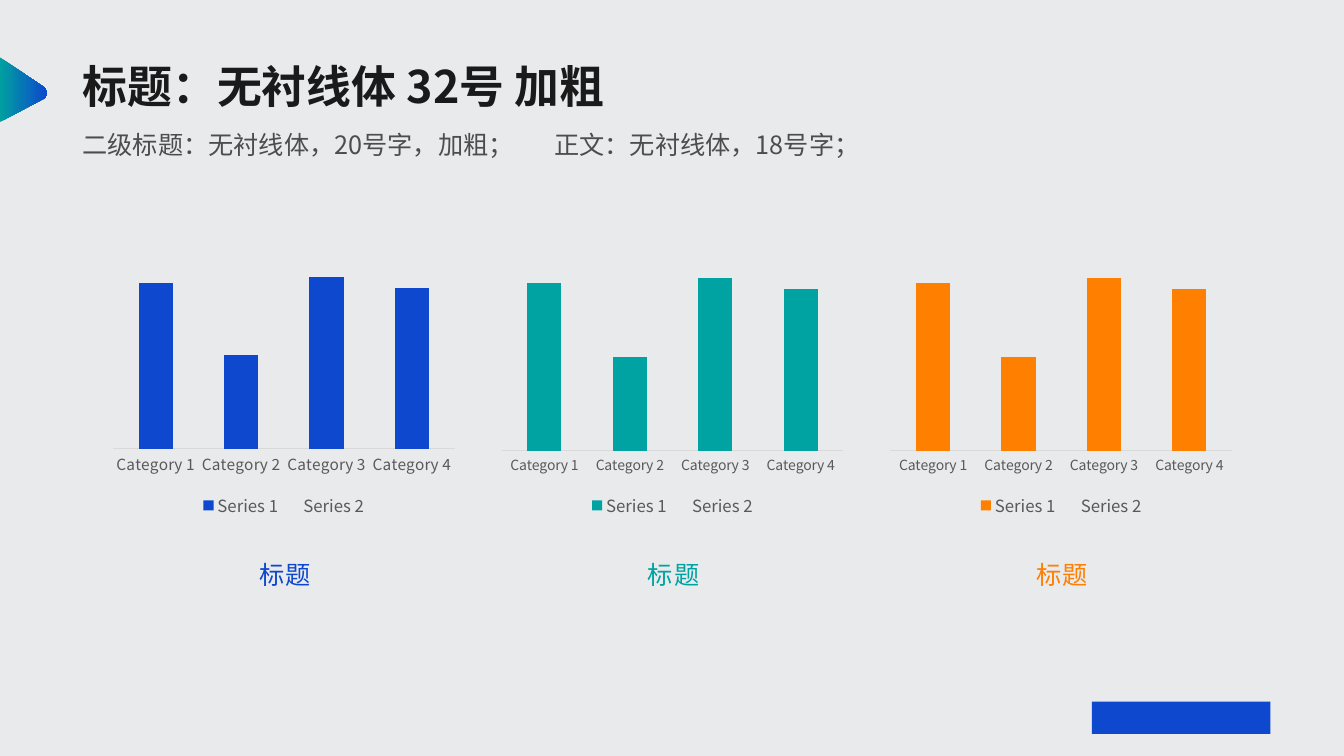
from pptx import Presentation, util as u
from pptx.chart.data import CategoryChartData
from pptx.dml.color import RGBColor
from pptx.enum import chart as ch, shapes, text
from pptx.oxml import parse_xml
from pptx.oxml.ns import nsdecls

BACKGROUND = RGBColor(0xE9, 0xEA, 0xEC)
BLUE = RGBColor(0x0E, 0x48, 0xCE)
LOGO_BLUE = RGBColor(0x0D, 0x48, 0xCE)
TEAL = RGBColor(0x00, 0xA3, 0xA2)
ARROW_TEAL = RGBColor(0x00, 0xA0, 0xA0)
ORANGE = RGBColor(0xFF, 0x7F, 0x00)
TITLE_INK = RGBColor(0x1A, 0x1A, 0x1A)
BODY_INK = RGBColor(0x4D, 0x4D, 0x4D)
AXIS_INK = RGBColor(0x59, 0x59, 0x59)
AXIS_LINE = RGBColor(0xD9, 0xD9, 0xD9)

FONT = "Noto Sans CJK SC"
CATEGORIES = [f"Category {number}" for number in range(1, 5)]
VALUES = [64, 36, 66, 62]
CHART_LEFT, LABEL_LEFT, COLUMN_STEP = 7.88, 12.23, 28.92


def assign(target, values):
    for name, value in values.items():
        setattr(target, name, value)


class ChartSlide:
    """Draws on one slide; every length is a percentage of the slide's size."""

    def __init__(self, presentation):
        self.width = presentation.slide_width
        self.height = presentation.slide_height
        self.slide = presentation.slides.add_slide(presentation.slide_layouts[5])
        fill = self.slide.background.fill
        fill.solid()
        fill.fore_color.rgb = BACKGROUND

    def box(self, left, top, width, height):
        return (round(left * self.width / 100), round(top * self.height / 100),
                round(width * self.width / 100), round(height * self.height / 100))

    def style_font(self, font, size, color, bold=False):
        assign(font, {"name": FONT, "size": u.Pt(size), "bold": bold})
        font.color.rgb = color

    def set_text(self, shape, words, size, color, bold=False,
                 align=text.PP_ALIGN.LEFT, spacing=1.0, tab=None, tracking=0):
        """Fill a text shape; tab is in percent of the slide's width, tracking in points."""
        frame = shape.text_frame
        assign(frame, {"word_wrap": True, "auto_size": text.MSO_AUTO_SIZE.NONE,
                       "vertical_anchor": text.MSO_ANCHOR.TOP})
        paragraph = frame.paragraphs[0]
        assign(paragraph, {"alignment": align, "line_spacing": spacing})
        if tab:
            position = round(tab * self.width / 100)
            paragraph._p.get_or_add_pPr().append(parse_xml(
                f'<a:tabLst {nsdecls("a")}><a:tab pos="{position}" algn="l"/></a:tabLst>'))
        run = paragraph.add_run()
        run.text = words
        self.style_font(run.font, size, color, bold)
        properties = run._r.get_or_add_rPr()
        properties.append(parse_xml(f'<a:ea {nsdecls("a")} typeface="{FONT}"/>'))
        if tracking:
            properties.set("spc", str(round(tracking * 100)))

    def title(self, box, words, **style):
        shape = self.slide.shapes.title
        assign(shape, dict(zip(("left", "top", "width", "height"), self.box(*box))))
        self.set_text(shape, words, **style)

    def label(self, box, words, **style):
        self.set_text(self.slide.shapes.add_textbox(*self.box(*box)), words, **style)

    def finish(self, shape):
        shape.shadow.inherit = False
        shape.line.fill.background()

    def logo_block(self, box, color):
        shape = self.slide.shapes.add_shape(shapes.MSO_SHAPE.RECTANGLE, *self.box(*box))
        shape.fill.solid()
        shape.fill.fore_color.rgb = color
        self.finish(shape)

    def edge_arrow(self, start_color, end_color):
        """Triangle on the left edge, its tip rounded by a cubic curve."""
        low, low_pull, high_pull, high = (3.23, 13.07), (3.6, 12.8), (3.6, 11.87), (3.23, 11.47)
        tip = []
        for step in range(13):
            t = step / 12
            weights = (1 - t) ** 3, 3 * t * (1 - t) ** 2, 3 * t * t * (1 - t), t ** 3
            tip.append(tuple(sum(w * point[axis] for w, point in
                                 zip(weights, (low, low_pull, high_pull, high)))
                             for axis in (0, 1)))
        outline = [self.box(x, y, 0, 0)[:2] for x, y in [(0, 7.6), (0, 16.13), *tip]]
        builder = self.slide.shapes.build_freeform(*outline[0])
        builder.add_line_segments(outline[1:], close=True)
        shape = builder.convert_to_shape()
        shape.fill.gradient()
        shape.fill.gradient_angle = 0
        for stop, color in zip(shape.fill.gradient_stops, (start_color, end_color)):
            stop.color.rgb = color
        self.finish(shape)

    def column_chart(self, box, color, axis_size):
        data = CategoryChartData()
        data.categories = CATEGORIES
        data.add_series("Series 1", VALUES)
        data.add_series("Series 2", [100 - value for value in VALUES])
        chart = self.slide.shapes.add_chart(
            ch.XL_CHART_TYPE.COLUMN_STACKED_100, *self.box(*box), data).chart
        assign(chart, {"has_title": False, "has_legend": True})
        self.style_font(chart.font, 10, AXIS_INK)
        assign(chart.legend, {"position": ch.XL_LEGEND_POSITION.BOTTOM,
                              "include_in_layout": False})
        self.style_font(chart.legend.font, 12, AXIS_INK)

        assign(chart.value_axis, {"visible": False, "has_major_gridlines": False})
        axis = chart.category_axis
        assign(axis, {"major_tick_mark": ch.XL_TICK_MARK.NONE,
                      "minor_tick_mark": ch.XL_TICK_MARK.NONE})
        self.style_font(axis.tick_labels.font, axis_size, AXIS_INK)
        axis.format.line.color.rgb = AXIS_LINE
        axis.format.line.width = u.Pt(0.75)

        plot = chart.plots[0]
        assign(plot, {"gap_width": 150, "overlap": 100, "vary_by_categories": False})
        shown, remainder = plot.series
        shown.format.fill.solid()
        shown.format.fill.fore_color.rgb = color
        remainder.format.fill.background()


def main():
    presentation = Presentation()
    assign(presentation, {"slide_width": u.Inches(13.33), "slide_height": u.Inches(7.5)})
    page = ChartSlide(presentation)
    page.logo_block((81.25, 92.8, 13.28, 4.27), LOGO_BLUE)
    page.edge_arrow(ARROW_TEAL, LOGO_BLUE)
    for column, (color, axis_size) in enumerate([(BLUE, 11), (TEAL, 10), (ORANGE, 10)]):
        shift = column * COLUMN_STEP
        page.column_chart((CHART_LEFT + shift, 24.13, 26.48, 44.93), color, axis_size)
        page.label((LABEL_LEFT + shift, 71.33, 17.93, 7.47), "标题", size=18, color=color,
                   align=text.PP_ALIGN.CENTER, spacing=1.5, tracking=0.9)
    page.title((5.4, 7.07, 45.91, 8.53), "标题：无衬线体 32号 加粗",
               size=32, color=TITLE_INK, bold=True)
    page.label((5.4, 15.87, 69.47, 20),
               "二级标题：无衬线体，20号字，加粗；\t正文：无衬线体，18号字；",
               size=18, color=BODY_INK, spacing=u.Pt(25), tab=35.1)
    presentation.save("out.pptx")


if __name__ == "__main__":
    main()
